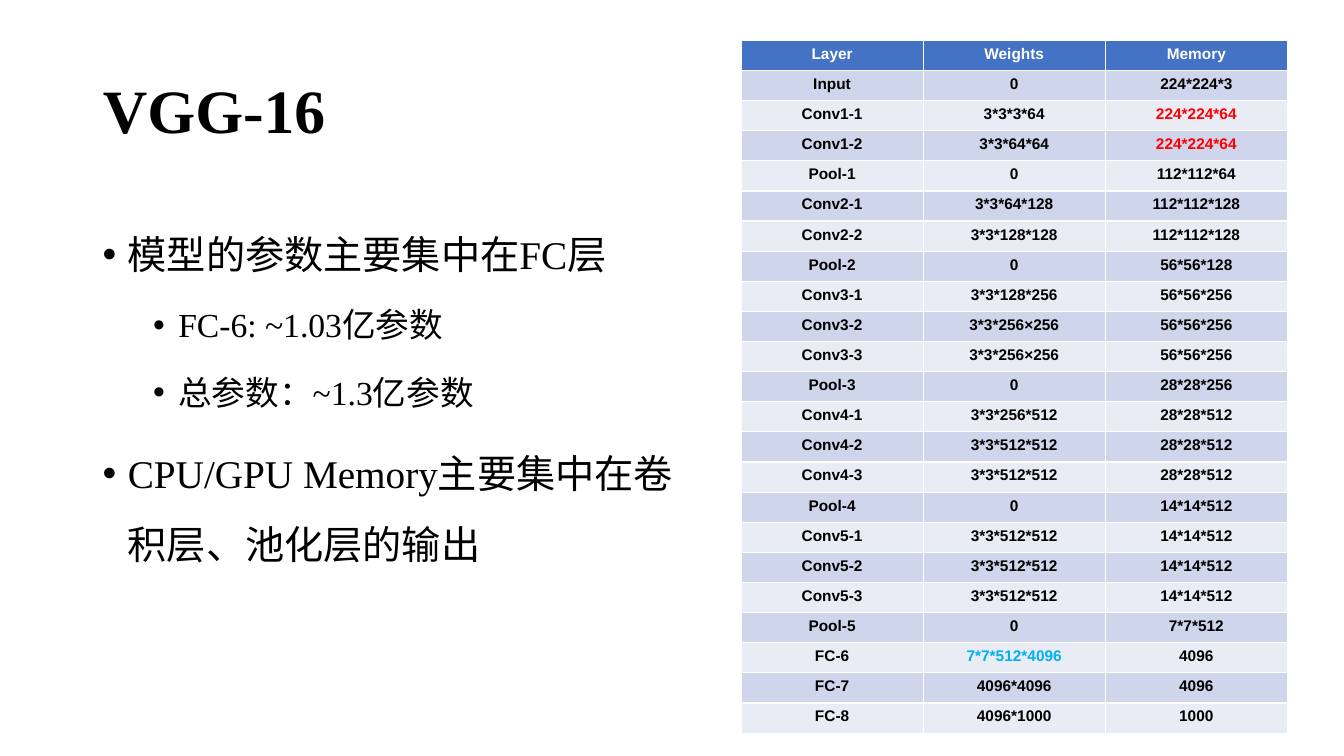
from pptx import Presentation
from pptx.dml.color import RGBColor
from pptx.enum.text import MSO_ANCHOR, MSO_AUTO_SIZE, PP_ALIGN
from pptx.oxml.ns import qn
from pptx.util import Inches, Pt
from lxml.etree import SubElement

BLACK = RGBColor(0x00, 0x00, 0x00)
WHITE = RGBColor(0xFF, 0xFF, 0xFF)
RED = RGBColor(0xFF, 0x00, 0x00)
SKY = RGBColor(0x00, 0xB0, 0xF0)
HEADER_BLUE = RGBColor(0x44, 0x72, 0xC4)
BANDS = (RGBColor(0xE9, 0xEB, 0xF5), RGBColor(0xCF, 0xD5, 0xEA))

# Level and text of each point
POINTS = [
    (0, "模型的参数主要集中在FC层"),
    (1, "FC-6: ~1.03亿参数"),
    (1, "总参数：~1.3亿参数"),
    (0, "CPU/GPU Memory主要集中在卷积层、池化层的输出"),
]

LAYERS = [
    ("Layer", "Weights", "Memory"),
    ("Input", "0", "224*224*3"),
    ("Conv1-1", "3*3*3*64", "224*224*64"),
    ("Conv1-2", "3*3*64*64", "224*224*64"),
    ("Pool-1", "0", "112*112*64"),
    ("Conv2-1", "3*3*64*128", "112*112*128"),
    ("Conv2-2", "3*3*128*128", "112*112*128"),
    ("Pool-2", "0", "56*56*128"),
    ("Conv3-1", "3*3*128*256", "56*56*256"),
    ("Conv3-2", "3*3*256×256", "56*56*256"),
    ("Conv3-3", "3*3*256×256", "56*56*256"),
    ("Pool-3", "0", "28*28*256"),
    ("Conv4-1", "3*3*256*512", "28*28*512"),
    ("Conv4-2", "3*3*512*512", "28*28*512"),
    ("Conv4-3", "3*3*512*512", "28*28*512"),
    ("Pool-4", "0", "14*14*512"),
    ("Conv5-1", "3*3*512*512", "14*14*512"),
    ("Conv5-2", "3*3*512*512", "14*14*512"),
    ("Conv5-3", "3*3*512*512", "14*14*512"),
    ("Pool-5", "0", "7*7*512"),
    ("FC-6", "7*7*512*4096", "4096"),
    ("FC-7", "4096*4096", "4096"),
    ("FC-8", "4096*1000", "1000"),
]

# The largest values stand out
HIGHLIGHTS = {"224*224*64": RED, "7*7*512*4096": SKY}


class SlideBuilder:
    text_font = "Times New Roman"
    table_font = "Arial"

    def __init__(self, slide):
        self.slide = slide

    def add_run(self, paragraph, text, font, size, color=BLACK, bold=False):
        run = paragraph.add_run()
        run.text = text
        run.font.name = font
        run.font.size = Pt(size)
        run.font.bold = bold
        run.font.color.rgb = color

    def title(self, text, left, top, width, height):
        title = self.slide.shapes.title
        title.left, title.top = Inches(left), Inches(top)
        title.width, title.height = Inches(width), Inches(height)
        frame = title.text_frame
        frame.auto_size = MSO_AUTO_SIZE.NONE
        frame.vertical_anchor = MSO_ANCHOR.MIDDLE
        heading = frame.paragraphs[0]
        heading.alignment = PP_ALIGN.LEFT
        heading.line_spacing = 0.9
        self.add_run(heading, text, self.text_font, 44, bold=True)

    def bullets(self, points, left, top, width, height):
        box = self.slide.shapes.add_textbox(
            Inches(left), Inches(top), Inches(width), Inches(height))
        frame = box.text_frame
        frame.word_wrap = True
        for index, (level, text) in enumerate(points):
            point = frame.add_paragraph() if index else frame.paragraphs[0]
            point.level = level
            point.line_spacing = 1.5
            point.space_before = Pt((5 if level else 10) if index else 0)
            properties = point._p.get_or_add_pPr()
            properties.set("marL", str(Inches(0.25 + 0.5 * level)))
            properties.set("indent", str(Inches(-0.25)))
            SubElement(properties, qn("a:buFont"), typeface="Arial")
            SubElement(properties, qn("a:buChar"), char="•")
            self.add_run(point, text, self.text_font, 24 if level else 28)

    def table(self, rows, left, top, width, height):
        table = self.slide.shapes.add_table(
            len(rows), len(rows[0]), Inches(left), Inches(top),
            Inches(width), Inches(height)).table
        for r, row in enumerate(rows):
            for c, text in enumerate(row):
                cell = table.cell(r, c)
                cell.fill.solid()
                cell.fill.fore_color.rgb = BANDS[r % 2] if r else HEADER_BLUE
                entry = cell.text_frame.paragraphs[0]
                entry.alignment = PP_ALIGN.CENTER
                color = HIGHLIGHTS.get(text, BLACK) if r else WHITE
                self.add_run(entry, text, self.table_font, 11, color, True)


def main():
    presentation = Presentation()
    presentation.slide_width = Inches(13.33)
    presentation.slide_height = Inches(7.5)
    title_only = presentation.slide_layouts[5]
    builder = SlideBuilder(presentation.slides.add_slide(title_only))

    # Title and key points
    builder.title("VGG-16", 0.92, 0.4, 11.5, 1.45)
    builder.bullets(POINTS, 0.92, 2, 6.1, 4.76)

    # Weights and memory by layer
    builder.table(LAYERS, 7.35, 0.4, 5.42, 6.88)

    presentation.save("out.pptx")


if __name__ == "__main__":
    main()
